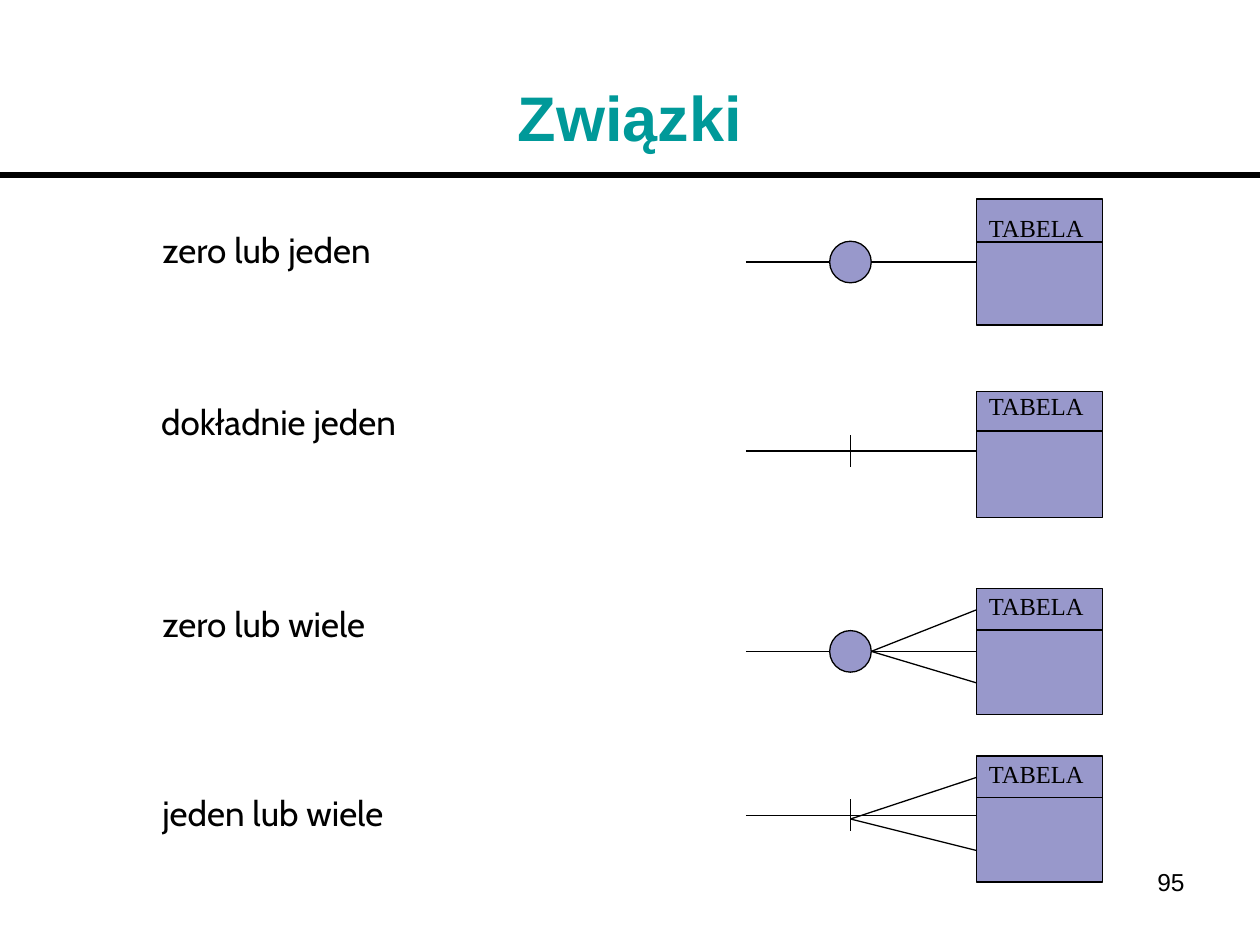
from pptx import Presentation
from pptx.dml.color import RGBColor
from pptx.enum.shapes import MSO_CONNECTOR, MSO_SHAPE
from pptx.enum.text import MSO_ANCHOR, MSO_AUTO_SIZE, PP_ALIGN
from pptx.oxml.ns import qn
from pptx.util import Inches, Pt
from lxml.etree import SubElement

# Content: label, its left, top, width; box top; divider and name tops; zero?, many?
TITLE, PAGE, NAME = "Związki", "95", "TABELA"
ROWS = [
    ("zero lub jeden", 1.19, 1.80, 2.06, 1.58, 1.92, 1.67, True, False),
    ("dokładnie jeden", 1.18, 3.17, 2.29, 3.11, 3.42, 3.08, False, False),
    ("zero lub wiele", 1.19, 4.77, 2.00, 4.67, 5.00, 4.67, True, True),
    ("jeden lub wiele", 1.19, 6.27, 2.16, 6.00, 6.33, 6.00, False, True),
]
BLACK, TEAL, NAVY = "000000", "009999", "333399"
START, MARK, BOX, SIDE = 5.92, 6.75, 7.75, 1
DOT, TICK = 0.33, 0.25
FAN = (0.17, 0.75)

deck = Presentation()
deck.slide_width, deck.slide_height = Inches(10), Inches(7.5)
slide = deck.slides.add_slide(deck.slide_layouts[5])


def color(code):
    return RGBColor.from_string(code)


def style(frame, text, size, font, code=BLACK, bold=False, align=PP_ALIGN.LEFT):
    frame.text = text
    par = frame.paragraphs[0]
    par.alignment = align
    face = par.runs[0].font
    face.size, face.name, face.bold = Pt(size), font, bold
    face.color.rgb = color(code)
    return par


def label(text, left, top, width, height, size, font):
    box = slide.shapes.add_textbox(*map(Inches, (left, top, width, height)))
    frame = box.text_frame
    par = style(frame, text, size, font)
    par.line_spacing, par.space_before = 0.9, Pt(size / 4)
    frame.word_wrap = False
    frame.auto_size = MSO_AUTO_SIZE.SHAPE_TO_FIT_TEXT


def line(shapes, x1, y1, x2, y2, width=0.74):
    rule = shapes.add_connector(MSO_CONNECTOR.STRAIGHT, *map(Inches, (x1, y1, x2, y2)))
    rule.line.color.rgb, rule.line.width = color(BLACK), Pt(width)
    SubElement(rule._element.spPr, qn("a:effectLst"))


def block(shapes, kind, left, top, side):
    shape = shapes.add_shape(kind, *map(Inches, (left, top, side, side)))
    shape.shadow.inherit = False
    shape.fill.solid()
    shape.fill.fore_color.rgb = color(NAVY)
    tint = shape._element.spPr.find(qn("a:solidFill"))[0]
    SubElement(tint, qn("a:alpha")).set("val", "50000")
    shape.line.color.rgb, shape.line.width = color(BLACK), Pt(0.74)


# Title and rule
head = slide.shapes.title
head.left, head.top, head.width, head.height = map(Inches, (0.5, 0.3, 9, 1.25))
head.text_frame.vertical_anchor = MSO_ANCHOR.MIDDLE
style(head.text_frame, TITLE, 36, "Arial", TEAL, True, PP_ALIGN.CENTER)
line(slide.shapes, 0, 1.39, 10, 1.39, 3)

# One relation per row
for text, left, top, width, box, split, name, zero, many in ROWS:
    parts = slide.shapes.add_group_shape().shapes
    block(parts, MSO_SHAPE.RECTANGLE, BOX, box, SIDE)
    mid = box + SIDE / 2
    root = MARK
    if zero:
        root = MARK + DOT / 2
        block(parts, MSO_SHAPE.FLOWCHART_CONNECTOR, MARK - DOT / 2, mid - DOT / 2, DOT)
        line(parts, START, mid, MARK - DOT / 2, mid)
        line(parts, root, mid, BOX, mid)
    else:
        axis = box + 0.47
        line(parts, START, axis, BOX, axis)
        line(parts, MARK, axis - TICK / 2, MARK, axis + TICK / 2)
    if many:
        for drop in FAN:
            line(parts, root, mid, BOX, box + drop)
    line(parts, BOX, split, BOX + SIDE, split)
    label(text, left, top, width, 0.4, 20, "Cabin")
    label(NAME, BOX, name, 0.97, 0.31, 14, "Times New Roman")

# Page number
page = slide.shapes.add_textbox(*map(Inches, (7.17, 6.83, 2.33, 0.52)))
page.text_frame.word_wrap = True
style(page.text_frame, PAGE, 14, "Arial", align=PP_ALIGN.RIGHT)

deck.save("out.pptx")
